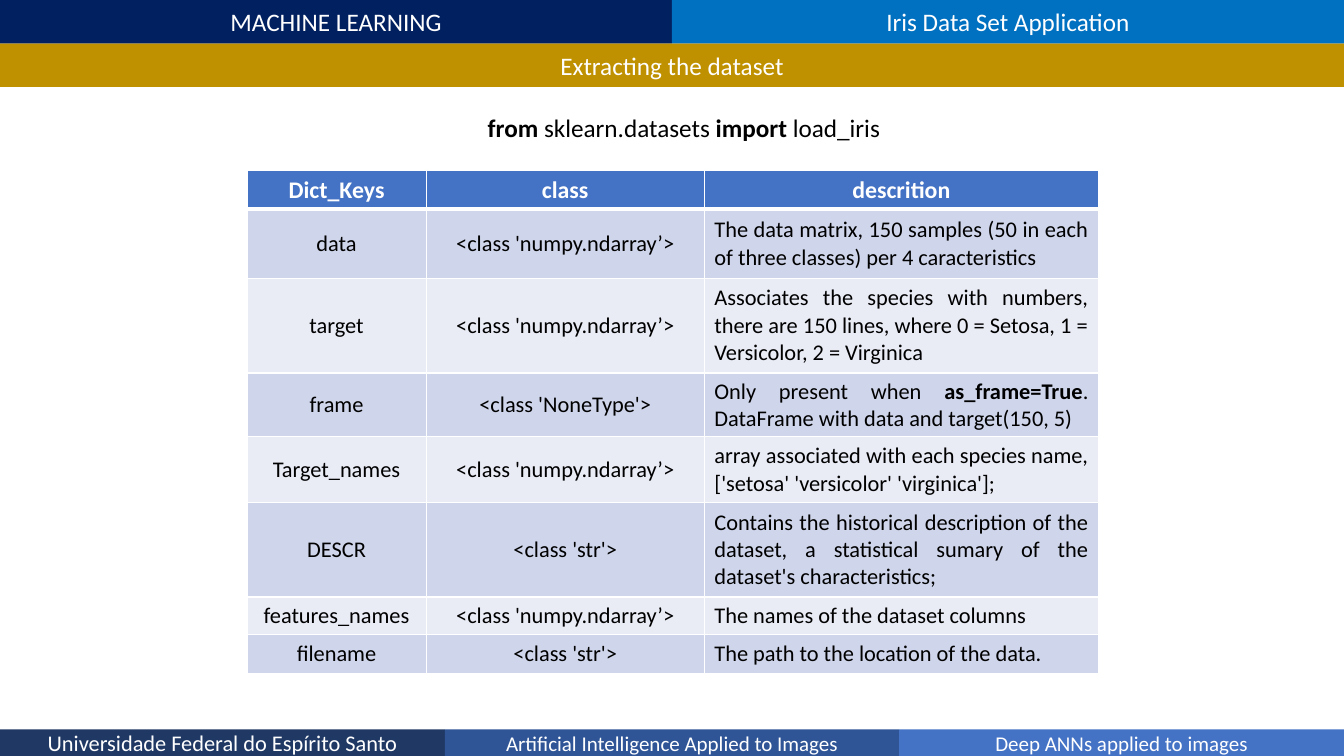
from dataclasses import dataclass

from lxml import etree as et
from pptx import Presentation
from pptx import util as u
from pptx.dml import color
from pptx.enum import shapes, text
from pptx.oxml import ns

HUES = {
    "white": "FFFFFF", "black": "000000", "navy": "002060", "sky": "0070C0",
    "gold": "BF9000", "deep": "203864", "mid": "2F5597", "blue": "4472C4",
    "odd": "CFD5EA", "even": "E9EBF5",
}
MID = text.PP_ALIGN.CENTER
FULL = text.PP_ALIGN.JUSTIFY
WIDE, HIGH = 960, 540


@dataclass
class Bar:
    words: str
    left: float
    top: float
    width: float
    height: float
    hue: str
    size: float = 18


@dataclass
class Row:
    key: str
    kind: str
    note: str
    height: float


BARS = [
    Bar("Universidade Federal do Espírito Santo", 0, 521, 317.75, 19, "deep", 16),
    Bar("Artificial Intelligence Applied to Images", 317.75, 521, 324.5, 19, "mid", 15),
    Bar("Deep ANNs applied to images", 642.25, 521, 317.75, 19, "blue", 15),
    Bar("Extracting the dataset", 0, 31, WIDE, 31, "gold"),
    Bar("MACHINE LEARNING", 0, 0, WIDE / 2, 31, "navy"),
    Bar("Iris Data Set Application", WIDE / 2, 0, WIDE / 2, 31, "sky"),
]
ARRAY = "<class 'numpy.ndarray’>"
STR = "<class 'str'>"
ROWS = [
    Row("Dict_Keys", "class", "descrition", 26.6),
    Row("data", ARRAY, "The data matrix, 150 samples (50 in each of three classes) "
        "per 4 caracteristics", 49.5),
    Row("target", ARRAY, "Associates the species with numbers, there are 150 lines, "
        "where 0 = Setosa, 1 = Versicolor, 2 = Virginica", 67.5),
    Row("frame", "<class 'NoneType'>", "Only present when **as_frame=True**. "
        "DataFrame with data and target(150, 5)", 44.5),
    Row("Target_names", ARRAY, "array associated with each species name, "
        "['setosa' 'versicolor' 'virginica'];", 47),
    Row("DESCR", STR, "Contains the historical description of the dataset, "
        "a statistical sumary of the dataset's characteristics;", 67.5),
    Row("features_names", ARRAY, "The names of the dataset columns", 26.6),
    Row("filename", STR, "The path to the location of the data.", 28),
]
COLS = [128, 198.75, 281.5]


def tint(fill, hue: str) -> None:
    fill.solid()
    fill.fore_color.rgb = color.RGBColor.from_string(HUES[hue])


def write(frame, words: str, *, size: float = 18, hue: str = "black",
          bold: bool = False, align=None) -> None:
    para = frame.paragraphs[0]
    para.alignment = align
    for i, part in enumerate(words.split("**")):
        if part:
            run = para.add_run()
            run.text = part
            run.font.name = "Calibri"
            run.font.size = u.Pt(size)
            run.font.bold = bold or i % 2 == 1
            tint(run.font.fill, hue)


def draw_bar(slide, bar: Bar) -> None:
    box = slide.shapes.add_shape(
        shapes.MSO_SHAPE.RECTANGLE, u.Pt(bar.left), u.Pt(bar.top),
        u.Pt(bar.width), u.Pt(bar.height))
    box.shadow.inherit = False
    box.line.fill.background()
    tint(box.fill, bar.hue)
    frame = box.text_frame
    frame.word_wrap = True
    frame.vertical_anchor = text.MSO_ANCHOR.MIDDLE
    write(frame, bar.words, size=bar.size, hue="white", align=MID)


def edge(cell, side: str, width: float) -> None:
    props = cell._tc.get_or_add_tcPr()
    line = et.SubElement(props, ns.qn(f"a:ln{side}"), w=str(u.Pt(width)))
    fill = et.SubElement(line, ns.qn("a:solidFill"))
    et.SubElement(fill, ns.qn("a:srgbClr"), val=HUES["white"])


def draw_grid(slide, rows: list[Row]) -> None:
    grid = slide.shapes.add_table(
        len(rows), len(COLS), u.Pt(176.4), u.Pt(121.75),
        u.Pt(sum(COLS)), u.Pt(sum(row.height for row in rows))).table
    for col, width in zip(grid.columns, COLS):
        col.width = u.Pt(width)
    for r, row in enumerate(rows):
        grid.rows[r].height = u.Pt(row.height)
        head = r == 0
        for c, words in enumerate((row.key, row.kind, row.note)):
            cell = grid.cell(r, c)
            for side in "LRTB":
                thick = (side, r) in (("B", 0), ("T", 1))
                edge(cell, side, 3 if thick else 1)
            tint(cell.fill, "blue" if head else "odd" if r % 2 else "even")
            if not head:
                cell.vertical_anchor = text.MSO_ANCHOR.MIDDLE
            write(cell.text_frame, words, size=17 if head else 16, bold=head,
                  hue="white" if head else "black",
                  align=FULL if c == 2 and not head else MID)


def main() -> None:
    deck = Presentation()
    deck.slide_width, deck.slide_height = u.Pt(WIDE), u.Pt(HIGH)
    slide = deck.slides.add_slide(deck.slide_layouts[6])
    for bar in BARS:
        draw_bar(slide, bar)
    code = slide.shapes.add_textbox(u.Pt(341.25), u.Pt(77), u.Pt(301), u.Pt(29))
    code.text_frame.word_wrap = True
    write(code.text_frame, "**from **sklearn.datasets **import **load_iris")
    draw_grid(slide, ROWS)
    deck.save("out.pptx")


if __name__ == "__main__":
    main()
